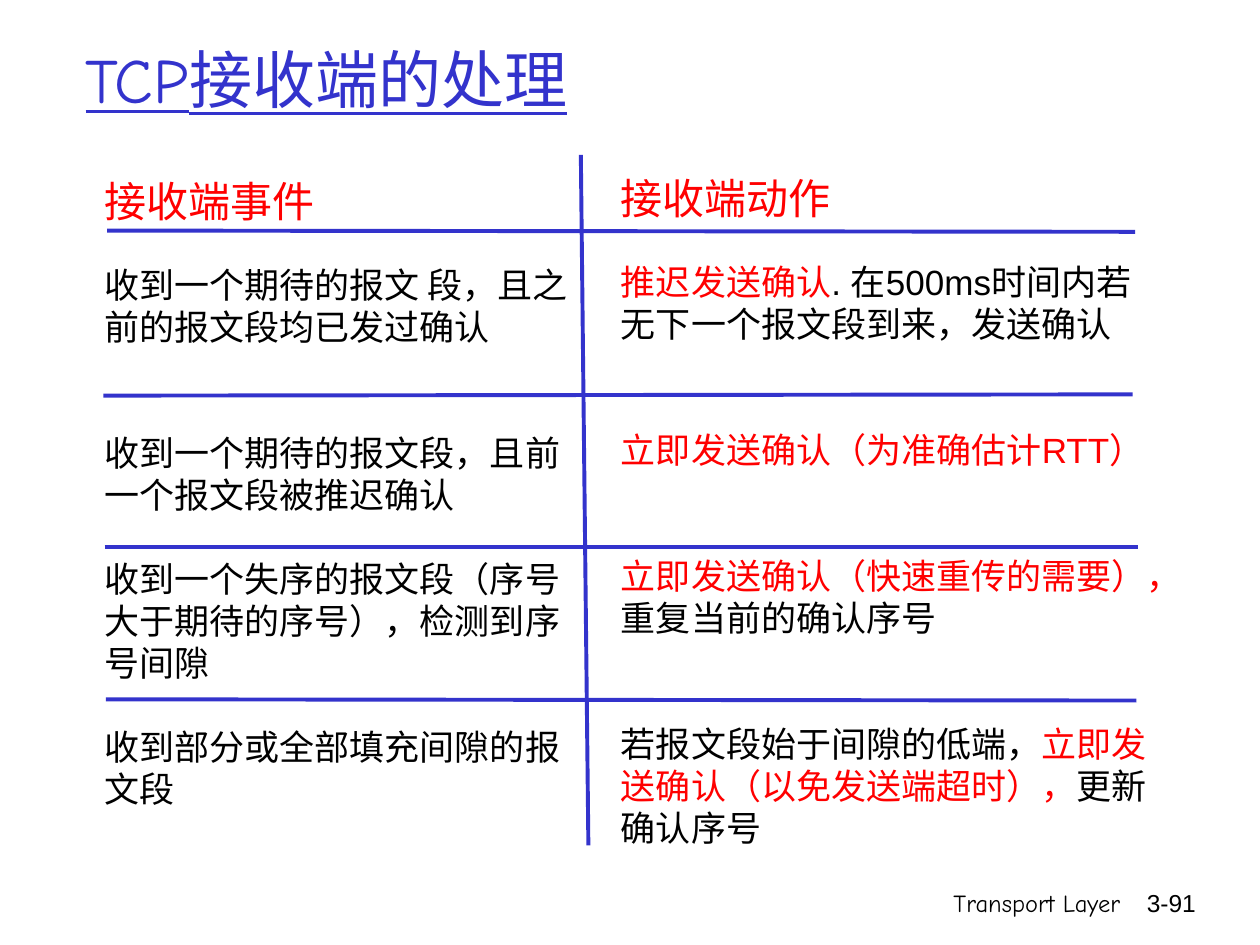
from dataclasses import dataclass

from lxml import etree
from pptx import Presentation, util as u
from pptx.dml.color import RGBColor
from pptx.enum import shapes, text
from pptx.oxml.ns import qn


@dataclass(frozen=True)
class Theme:
    """Hold the colours, fonts and sizes of the slide."""
    blue: str = "3333CC"
    red: str = "FF0000"
    black: str = "000000"
    sans: str = "Arial"
    hand: str = "Comic Neue"
    title: int = 36
    head: int = 24
    body: int = 20
    foot: int = 14
    rule: float = 2.25


T = Theme()

EVENTS = [
    (21.6, ["收到一个期待的报文 段，且之", "前的报文段均已发过确认"]),
    (48, ["收到一个期待的报文段，且前", "一个报文段被推迟确认"]),
    (24, ["收到一个失序的报文段（序号", "大于期待的序号），检测到序", "号间隙"]),
    (24, ["收到部分或全部填充间隙的报", "文段"]),
]
ACTIONS = [
    (21.6, ["*推迟发送确认|. 在500ms时间内若", "无下一个报文段到来，发送确认"]),
    (48, ["*立即发送确认（为准确估计RTT）"]),
    (48, ["*立即发送确认（快速重传的需要），|重复当前的确认序号"]),
    (48, ["若报文段始于间隙的低端，|*立即发", "*送确认（以免发送端超时），|更新", "确认序号"]),
]
RULES = [
    (0.85, 1.83, 9.01, 1.84),
    (0.82, 3.14, 8.99, 3.13),
    (0.83, 4.34, 9.03, 4.34),
    (0.84, 5.55, 9.02, 5.56),
    (4.61, 1.23, 4.67, 6.71),
]


def style(font, size, color, name=T.sans):
    """Set the size, colour and typeface of a font."""
    font.size = u.Pt(size)
    font.color.rgb = RGBColor.from_string(color)
    font.name = name


def add_title(slide, words):
    """Place the underlined title."""
    title = slide.shapes.title
    title.left, title.top = u.Inches(0.58), u.Inches(0)
    title.width, title.height = u.Inches(8.5), u.Inches(1.25)
    frame = title.text_frame
    frame.text = words
    frame.auto_size = text.MSO_AUTO_SIZE.NONE
    frame.vertical_anchor = text.MSO_ANCHOR.MIDDLE
    para = frame.paragraphs[0]
    para.alignment = text.PP_ALIGN.LEFT
    font = para.runs[0].font
    style(font, T.title, T.blue, T.hand)
    font.underline = True


def add_box(slide, box, words, size, color, name=T.sans, wrap=True):
    """Add a text box with one formatted line and return its frame."""
    frame = slide.shapes.add_textbox(*map(u.Inches, box)).text_frame
    frame.text = words
    frame.word_wrap = wrap
    style(frame.paragraphs[0].runs[0].font, size, color, name)
    return frame


def add_line(frame, line, gap):
    """Add a line split at bars, with starred parts in red."""
    para = frame.add_paragraph()
    para.space_before = u.Pt(gap)
    for part in line.split("|"):
        run = para.add_run()
        run.text = part.lstrip("*")
        style(run.font, T.body, T.red if part.startswith("*") else T.black)


def add_column(slide, box, head, groups, wrap):
    """Add a column with a red head and spaced groups of lines."""
    frame = add_box(slide, box, head, T.head, T.red, wrap=wrap)
    frame.auto_size = text.MSO_AUTO_SIZE.SHAPE_TO_FIT_TEXT
    for gap, lines in groups:
        for i, line in enumerate(lines):
            add_line(frame, line, 0 if i else gap)


def add_rule(slide, ends):
    """Draw a plain blue line."""
    rule = slide.shapes.add_connector(shapes.MSO_CONNECTOR.STRAIGHT, *map(u.Inches, ends))
    rule.line.color.rgb = RGBColor.from_string(T.blue)
    rule.line.width = u.Pt(T.rule)
    etree.SubElement(rule._element.spPr, qn("a:effectLst"))


def add_foot(slide, box, words, name):
    """Add a right-aligned footer text."""
    frame = add_box(slide, box, words, T.foot, T.black, name)
    frame.paragraphs[0].alignment = text.PP_ALIGN.RIGHT


def main():
    """Build and save the slide."""
    deck = Presentation()
    deck.slide_width, deck.slide_height = u.Inches(10), u.Inches(7.5)
    slide = deck.slides.add_slide(deck.slide_layouts[5])
    add_foot(slide, (5.82, 7, 3.17, 0.5), "Transport Layer", T.hand)
    add_foot(slide, (8.85, 7, 0.74, 0.5), "3-91", T.sans)
    add_title(slide, "TCP接收端的处理")
    add_column(slide, (0.73, 1.34, 3.89, 5.74), "接收端事件", EVENTS, False)
    add_column(slide, (4.83, 1.32, 4.63, 5.47), "接收端动作", ACTIONS, True)
    for ends in RULES:
        add_rule(slide, ends)
    deck.save("out.pptx")


if __name__ == "__main__":
    main()
